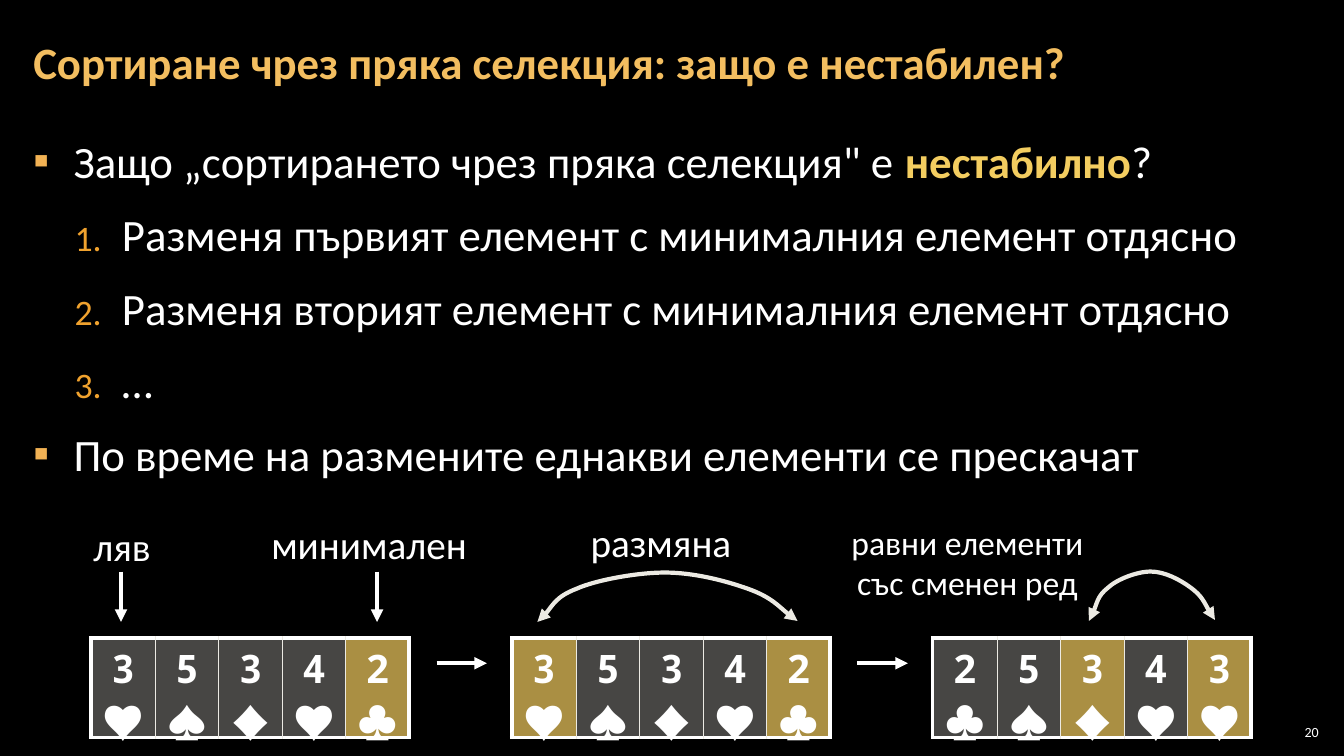
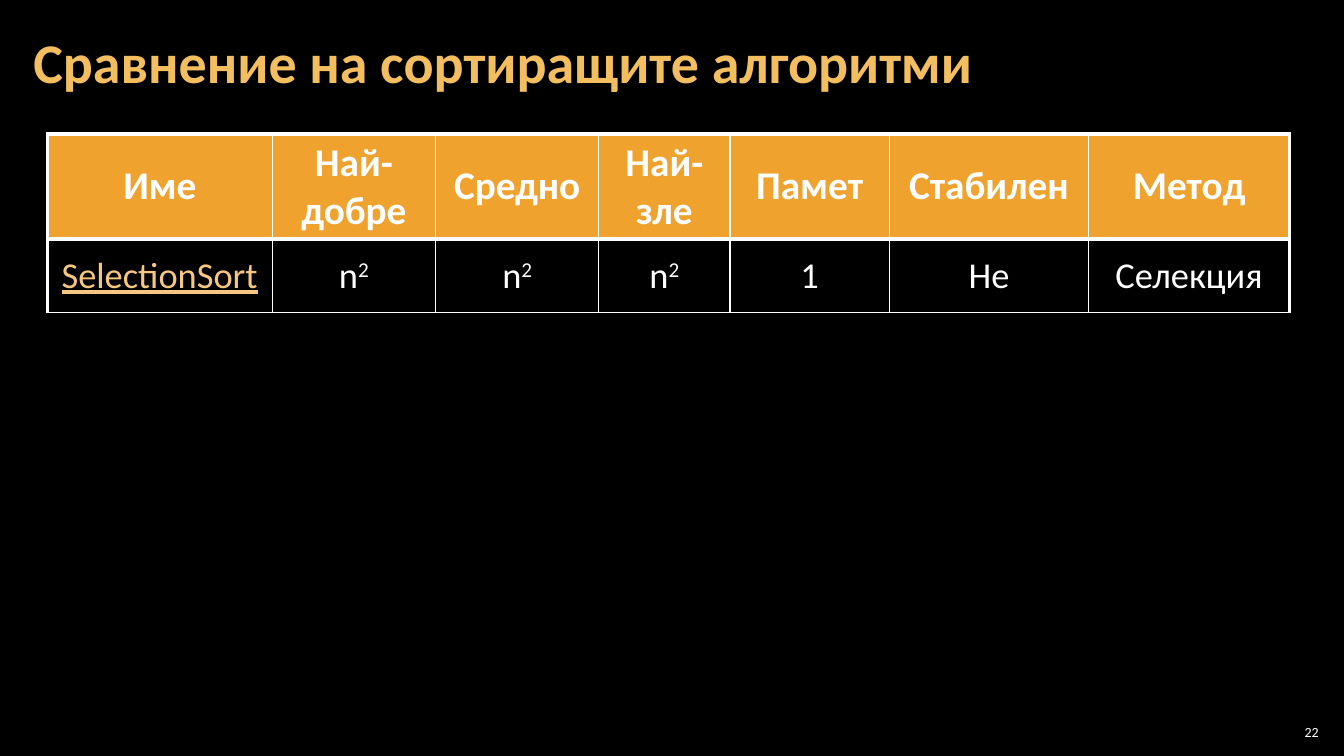
from lxml import etree
from pptx import Presentation
from pptx.dml.color import RGBColor
from pptx.enum import shapes as kinds, text as txt
from pptx.oxml import ns
from pptx.util import Inches, Pt

BLACK = RGBColor(0x00, 0x00, 0x00)
WHITE = RGBColor(0xFF, 0xFF, 0xFF)
CREAM = RGBColor(0xEC, 0xEA, 0xE3)
GOLD = RGBColor(0xF3, 0xBE, 0x60)
YELLOW = RGBColor(0xF3, 0xCD, 0x60)
ORANGE = RGBColor(0xF0, 0xA2, 0x2E)
AMBER = RGBColor(0xF2, 0xB2, 0x54)
PEACH = RGBColor(0xF6, 0xC7, 0x81)
FONT = "Calibri"
MONO = "Noto Sans Mono"
CENTER = txt.PP_ALIGN.CENTER
MIDDLE = txt.MSO_ANCHOR.MIDDLE

ARC = [(0, 1), (0.03, 0.9), (0.07, 0.49), (0.15, 0.33), (0.22, 0.16),
       (0.38, 0), (0.49, 0), (0.6, 0), (0.72, 0.16), (0.81, 0.33),
       (0.9, 0.5), (0.96, 0.85), (1, 0.98)]
POINTS = [
    (0, ["Защо „сортирането чрез пряка селекция\" е ", "нестабилно", "?"]),
    (1, ["Разменя първият елемент с минималния елемент отдясно"]),
    (1, ["Разменя вторият елемент с минималния елемент отдясно"]),
    (1, ["…"]),
    (0, ["По време на размените еднакви елементи се прескачат"]),
]
HANDS = [("3♥ 5♠ 3♦ 4♥ 2♣", {4}),
         ("3♥ 5♠ 3♦ 4♥ 2♣", {0, 4}),
         ("2♣ 5♠ 3♦ 4♥ 3♥", {2, 4})]
HEADS = ["Име", "Най-добре", "Средно", "Най-зле", "Памет", "Стабилен", "Метод"]
SORT = ["SelectionSort", "n2", "n2", "n2", "1", "Не", "Селекция"]


def node(host, tag, **attrs):
    """Append a drawing element to its host."""
    return etree.SubElement(host, ns.qn("a:" + tag), attrs)


def place(shape, left, top, width, height):
    """Move and size a shape in inches."""
    shape.left, shape.top = Inches(left), Inches(top)
    shape.width, shape.height = Inches(width), Inches(height)


def style(run, size, color=WHITE, bold=False, font=FONT):
    """Format one run."""
    run.font.size, run.font.bold, run.font.name = Pt(size), bold, font
    run.font.color.rgb = color


def inset(frame, side, edge):
    """Set the margins of a text frame."""
    frame.margin_left = frame.margin_right = Inches(side)
    frame.margin_top = frame.margin_bottom = Inches(edge)


def start(deck, layout, head, size, number):
    """Add a slide with its title and page number."""
    slide = deck.slides.add_slide(deck.slide_layouts[layout])
    title = slide.shapes.title
    place(title, 0.21, 0.04, 10.6, 1.21)
    frame = title.text_frame
    inset(frame, 0.12, 0.04)
    frame.auto_size = txt.MSO_AUTO_SIZE.NONE
    frame.vertical_anchor = MIDDLE
    frame.text = head
    para = frame.paragraphs[0]
    para.alignment, para.line_spacing = txt.PP_ALIGN.LEFT, 0.9
    style(para.runs[0], size, GOLD, True)
    label(slide, number, 12.65, 7.14, 0.47, 0.21, 10, txt.PP_ALIGN.RIGHT, 0.04)
    return slide


def label(slide, words, left, top, width, height, size=28, align=CENTER, side=0.1):
    """Add a text box."""
    box = slide.shapes.add_textbox(0, 0, 0, 0)
    place(box, left, top, width, height)
    frame = box.text_frame
    frame.word_wrap = True
    inset(frame, side, min(side, 0.05))
    frame.text = words
    frame.paragraphs[0].alignment = align
    style(frame.paragraphs[0].runs[0], size)


def bullet(para, level):
    """Give a paragraph its indent and marker."""
    props = para._p.get_or_add_pPr()
    left, hang = ((0.4, 0.4), (0.88, 0.47))[level]
    props.set("marL", str(Inches(left)))
    props.set("indent", str(-Inches(hang)))
    tint = node(props, "buClr")
    node(tint, "srgbClr", val=str((AMBER, ORANGE)[level]))
    if level:
        node(props, "buSzPct", val="80000")
        node(props, "buFont", typeface=FONT)
        node(props, "buAutoNum", type="arabicPeriod")
    else:
        node(props, "buFont", typeface=FONT)
        node(props, "buChar", char="▪")


def points(slide):
    """Fill the body placeholder with the list."""
    body = slide.placeholders[1]
    place(body, 0.21, 1.26, 12.91, 6.09)
    frame = body.text_frame
    inset(frame, 0.12, 0.04)
    frame.auto_size = txt.MSO_AUTO_SIZE.NONE
    for i, (level, parts) in enumerate(POINTS):
        para = frame.add_paragraph() if i else frame.paragraphs[0]
        para.level, para.line_spacing = level, 1.05
        para.space_before = para.space_after = Pt(6)
        bullet(para, level)
        for j, part in enumerate(parts):
            run = para.add_run()
            run.text = part
            style(run, 32, YELLOW if j == 1 else WHITE, j == 1)


def edges(cell, widths, thin):
    """Draw cell borders, given left, right, top and bottom widths."""
    props = cell._tc.get_or_add_tcPr()
    for i, (side, width) in enumerate(zip("LRTB", widths)):
        line = node(props, "ln" + side, w=str(Pt(width)))
        fill = node(line, "solidFill")
        node(fill, "srgbClr", val=str(WHITE if width > 1 else thin))
        props.insert(i, line)


def paint(cell, color, alpha=100):
    """Fill a cell, with opacity in percent."""
    cell.fill.solid()
    cell.fill.fore_color.rgb = color
    if alpha < 100:
        tint = cell._tc.tcPr.find(".//" + ns.qn("a:srgbClr"))
        node(tint, "alpha", val=str(alpha * 1000))


def grid(slide, left, top, cols, rows):
    """Add a plain table with given column widths and row heights."""
    frame = slide.shapes.add_table(
        len(rows), len(cols), Inches(left), Inches(top),
        Inches(sum(cols)), Inches(sum(rows)))
    table = frame.table
    table.first_row = table.horz_banding = False
    for col, width in zip(table.columns, cols):
        col.width = Inches(width)
    for row, height in zip(table.rows, rows):
        row.height = Inches(height)
    return table


def hand(slide, left, cards, hot):
    """Draw a row of five cards, with the hot ones in yellow."""
    table = grid(slide, left, 6.33, [0.64] + [0.63] * 4, [0.41])
    for i, card in enumerate(cards.split()):
        cell = table.cell(0, i)
        cell.text_frame.text = card
        para = cell.text_frame.paragraphs[0]
        para.alignment, para.line_spacing = CENTER, 0.95
        gap = node(para._p.get_or_add_pPr(), "spcBef")
        node(gap, "spcPct", val="40000")
        style(para.runs[0], 28, WHITE, True, MONO)
        paint(cell, *((YELLOW, 70) if i in hot else (CREAM, 30)))
        edges(cell, (1 if i else 3, 3 if i == 4 else 1, 3, 3), CREAM)


def stroke(shape, color, *ends):
    """Style a line and add its arrowheads."""
    shape.line.color.rgb = color
    shape.line.width = Pt(3)
    for end in ends:
        node(shape.get_or_add_ln(), end, type="triangle")


def arrow(slide, left, top, across=0, down=0):
    """Draw a straight arrow from a point."""
    line = slide.shapes.add_connector(
        kinds.MSO_CONNECTOR.STRAIGHT, Inches(left), Inches(top),
        Inches(left + across), Inches(top + down))
    stroke(line, WHITE, "tailEnd")
    node(line._element.spPr, "effectLst")


def arc(slide, left, top, width, height):
    """Draw a curved arrow with two heads inside a box."""
    spots = [(Inches(left + x * width), Inches(top + y * height)) for x, y in ARC]
    maker = slide.shapes.build_freeform(*spots[0])
    maker.add_line_segments(spots[1:], close=False)
    curve = maker.convert_to_shape()
    curve.shadow.inherit = False
    curve.fill.background()
    stroke(curve, CREAM, "headEnd", "tailEnd")
    track = curve._element.find(".//" + ns.qn("a:path"))
    steps = track.findall(ns.qn("a:lnTo"))
    for i in range(0, len(steps), 3):
        bend = node(track, "cubicBezTo")
        for step in steps[i:i + 3]:
            bend.append(step[0])
            track.remove(step)


def cards(slide, left, pitch):
    """Draw the three stages of the swap, one pitch apart."""
    for i, (row, hot) in enumerate(HANDS):
        spot = left + i * pitch
        hand(slide, spot, row, hot)
        if i < 2:
            arrow(slide, spot + 3.43, 6.58, across=0.5)
    for x in (0.3, 2.84):
        arrow(slide, left + x, 5.67, down=0.5)
    label(slide, "ляв", left - 0.09, 5.13, 0.8, 0.57)
    label(slide, "минимален", left + 1.66, 5.11, 2.2, 0.57)
    label(slide, "размяна", left + 4.85, 5.09, 1.61, 0.57)
    label(slide, "равни елементи със сменен ред", left + 7.29, 5.13, 2.81, 0.91, 24)
    arc(slide, left + 4.43, 5.68, 2.58, 0.49)
    arc(slide, left + 9.9, 5.67, 1.25, 0.49)


def chart(slide, left, top):
    """Draw the table that compares the sorts."""
    cols = [2.23, 1.62, 1.62, 1.3, 1.58, 1.98, 1.99]
    table = grid(slide, left, top, cols, [1.04, 0.73])
    for r, row in enumerate((HEADS, SORT)):
        for c, words in enumerate(row):
            cell = table.cell(r, c)
            cell.vertical_anchor = MIDDLE
            para = cell.text_frame.paragraphs[0]
            para.alignment = CENTER
            for part in words if words == "n2" else [words]:
                run = para.add_run()
                run.text = part
                style(run, 26 if r else 28, WHITE, not r)
                if part == "2":
                    run.font._element.set("baseline", "30000")
            if r and not c:
                run.font.color.rgb = PEACH
                run.font.underline = True
            paint(cell, BLACK if r else ORANGE)
            edges(cell, (1 if c else 3, 3 if c == 6 else 1, 3, 1 if r else 3), WHITE)


def main():
    """Build and save the deck."""
    deck = Presentation()
    deck.slide_width, deck.slide_height = Inches(13.33), Inches(7.5)
    back = deck.slide_master.background.fill
    back.solid()
    back.fore_color.rgb = BLACK
    swap = start(deck, 1, "Сортиране чрез пряка селекция: защо е нестабилен?", 32, "20")
    points(swap)
    cards(swap, 0.9, 4.175)
    match = start(deck, 5, "Сравнение на сортиращите алгоритми", 40, "22")
    chart(match, 0.47, 1.33)
    deck.save("out.pptx")


if __name__ == "__main__":
    main()
